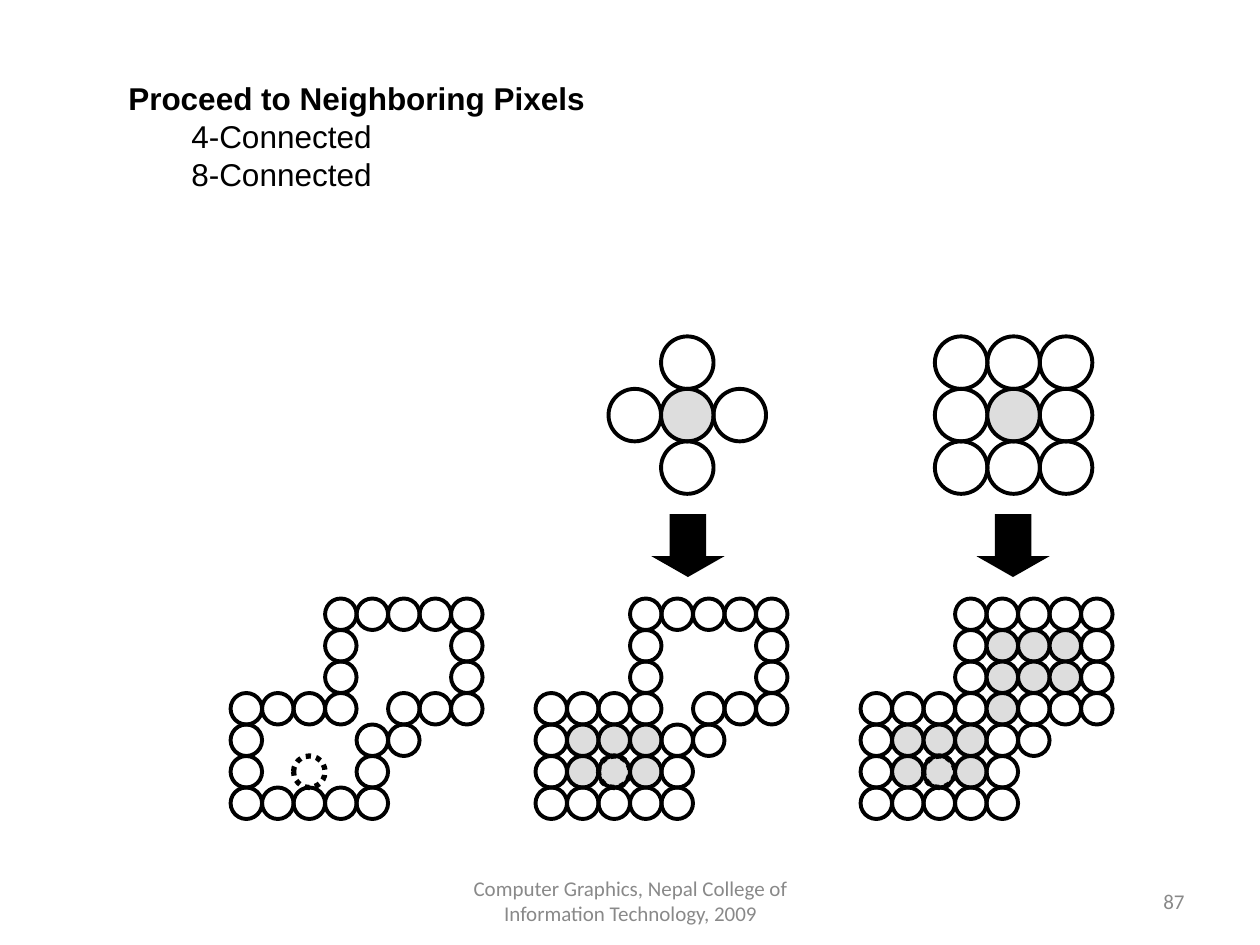
from pptx import Presentation
from pptx import util as u
from pptx.dml.color import RGBColor
from pptx.enum import dml, shapes, text

BLACK, GREY, FOOTER_GREY = "000000", "DDDDDD", "898989"

presentation = Presentation()
presentation.slide_width = u.Inches(10)
presentation.slide_height = u.Inches(7.5)
slide = presentation.slides.add_slide(presentation.slide_layouts[6])


def add_text(left, top, width, height, content, font_name, size, color):
    box = slide.shapes.add_textbox(*map(u.Inches, (left, top, width, height)))
    frame = box.text_frame
    frame.word_wrap = True
    frame.text = content
    for paragraph in frame.paragraphs:
        paragraph.font.name = font_name
        paragraph.font.size = u.Pt(size)
        paragraph.font.color.rgb = RGBColor.from_string(color)
    return frame


def add_pixels(left, top, size, rows):
    """Draw one circle per mark: o empty, # filled, s seed, . nothing."""
    for row, marks in enumerate(rows):
        for column, mark in enumerate(marks):
            if mark == ".":
                continue
            circle = slide.shapes.add_shape(
                shapes.MSO_SHAPE.OVAL,
                u.Inches(left + column * size), u.Inches(top + row * size),
                u.Inches(size), u.Inches(size))
            circle.shadow.inherit = False
            if mark == "#":
                circle.fill.solid()
                circle.fill.fore_color.rgb = RGBColor.from_string(GREY)
            else:
                circle.fill.background()
            circle.line.color.rgb = RGBColor.from_string(BLACK)
            circle.line.width = u.Pt(3 if mark == "s" else 2.25)
            if mark == "s":
                circle.line.dash_style = dml.MSO_LINE.ROUND_DOT


# Footer and slide number
for left, width, content, alignment in (
        (3.42, 3.17, "Computer Graphics, Nepal College of Information Technology, 2009",
         text.PP_ALIGN.CENTER),
        (7.17, 2.33, "87", text.PP_ALIGN.RIGHT)):
    frame = add_text(left, 6.95, width, 0.4, content, "Calibri", 12, FOOTER_GREY)
    frame.vertical_anchor = text.MSO_ANCHOR.MIDDLE
    frame.paragraphs[0].alignment = alignment

# Heading with two indented lines
frame = add_text(0.92, 0.58, 5, 1,
                 "Proceed to Neighboring Pixels\n4-Connected\n8-Connected",
                 "Arial", 18, BLACK)
frame.auto_size = text.MSO_AUTO_SIZE.SHAPE_TO_FIT_TEXT
heading, *items = frame.paragraphs
heading.font.bold = True
for paragraph in items:
    paragraph.level = 1
    properties = paragraph._p.get_or_add_pPr()
    properties.set("marL", str(u.Inches(0.5)))
    properties.set("indent", "0")

# Neighbourhoods: 4-connected and 8-connected
add_pixels(4.83, 2.67, 5 / 12, (".o.", "o#o", ".o."))
add_pixels(7.42, 2.67, 5 / 12, ("ooo", "o#o", "ooo"))

# Regions: boundary with seed, 4-connected fill, 8-connected fill
boundary = ("...ooooo",
            "...o...o",
            "...o...o",
            "oooo.ooo",
            "o...oo..",
            "o...o...",
            "ooooo...")
four_filled = boundary[:4] + ("o###oo..", "o###o...") + boundary[6:]
eight_filled = boundary[:1] + ("...o###o", "...o###o", "oooo#ooo") + four_filled[4:]
seed = (".",) * 5 + ("..s",)
for left, region in ((1.83, boundary), (4.25, four_filled), (6.83, eight_filled)):
    add_pixels(left, 4.75, 0.25, region)
    add_pixels(left, 4.75, 0.25, seed)

# Arrows from neighbourhood to filled region
for left in (5.17, 7.75):
    arrow = slide.shapes.add_shape(shapes.MSO_SHAPE.DOWN_ARROW, u.Inches(left),
                                   u.Inches(4.08), u.Inches(0.58), u.Inches(0.5))
    arrow.adjustments[0] = 0.5
    arrow.adjustments[1] = 0.33
    arrow.shadow.inherit = False
    arrow.fill.solid()
    arrow.fill.fore_color.rgb = RGBColor.from_string(BLACK)
    arrow.line.fill.background()

presentation.save("out.pptx")
